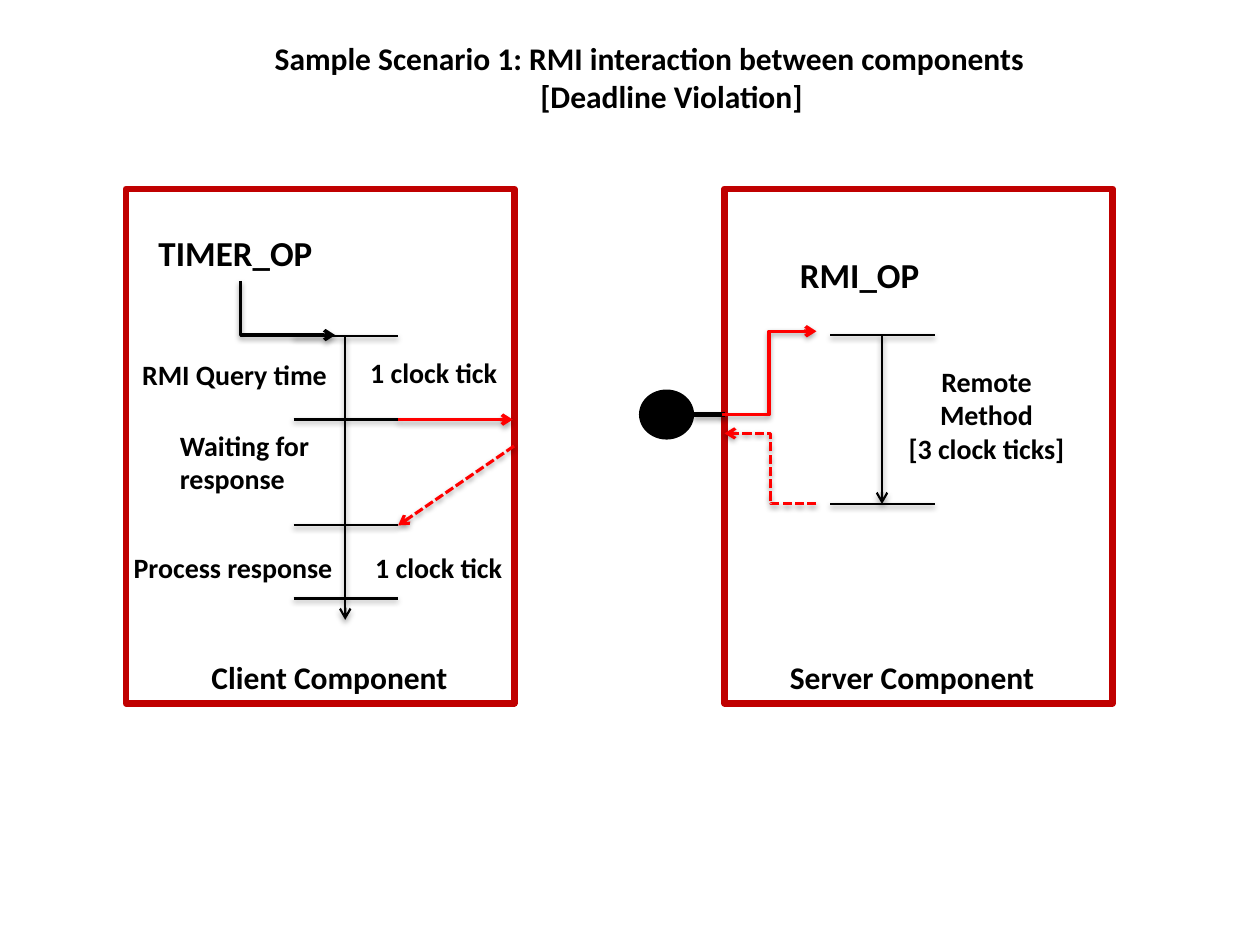
from dataclasses import dataclass

from lxml import etree
from pptx import Presentation
from pptx.dml.color import RGBColor
from pptx.enum.dml import MSO_LINE
from pptx.enum.shapes import MSO_CONNECTOR, MSO_SHAPE
from pptx.enum.text import MSO_ANCHOR, MSO_AUTO_SIZE, PP_ALIGN
from pptx.oxml.ns import qn
from pptx.util import Inches, Pt

LEFT, CENTER = PP_ALIGN.LEFT, PP_ALIGN.CENTER
STRAIGHT, ELBOW = MSO_CONNECTOR.STRAIGHT, MSO_CONNECTOR.ELBOW
DASHED = MSO_LINE.SQUARE_DOT
FONT = "Calibri"
BLACK, WHITE, RED, DARK_RED = "000000", "FFFFFF", "FF0000", "C00000"


@dataclass
class Node:
    kind: int
    box: tuple[float, float, float, float]
    fill: str
    line: str
    width: float


@dataclass
class Label:
    lines: list[str]
    box: tuple[float, float, float, float]
    size: int = 16
    align: int = LEFT


@dataclass
class Line:
    start: tuple[float, float]
    end: tuple[float, float]
    color: str = BLACK
    width: float = 1.25
    arrow: bool = False
    dashed: bool = False
    kind: int = STRAIGHT


def rgb(color: str) -> RGBColor:
    return RGBColor.from_string(color)


def add_text(p, text: str, size: int, align: int) -> None:
    p.alignment = align
    r = p.add_run()
    r.text = text
    r.font.name = FONT
    r.font.size = Pt(size)
    r.font.bold = True
    r.font.color.rgb = rgb(BLACK)


def place(sp, box: tuple[float, float, float, float]) -> None:
    sp.left, sp.top, sp.width, sp.height = (Inches(v) for v in box)


def add_node(s, node: Node) -> None:
    sp = s.shapes.add_shape(node.kind, *(Inches(v) for v in node.box))
    sp.shadow.inherit = False
    sp.fill.solid()
    sp.fill.fore_color.rgb = rgb(node.fill)
    sp.line.color.rgb = rgb(node.line)
    sp.line.width = Pt(node.width)


def add_label(s, label: Label) -> None:
    tf = s.shapes.add_textbox(*(Inches(v) for v in label.box)).text_frame
    tf.word_wrap = True
    tf.auto_size = MSO_AUTO_SIZE.SHAPE_TO_FIT_TEXT
    for i, text in enumerate(label.lines):
        p = tf.add_paragraph() if i else tf.paragraphs[0]
        add_text(p, text, label.size, label.align)


def add_shadow(sp, dist: int, alpha: int) -> None:
    effects = etree.SubElement(sp._element.spPr, qn("a:effectLst"))
    shadow = etree.SubElement(effects, qn("a:outerShdw"), blurRad="40000",
                              dist=str(dist), dir="5400000", rotWithShape="0")
    color = etree.SubElement(shadow, qn("a:srgbClr"), val=BLACK)
    etree.SubElement(color, qn("a:alpha"), val=str(alpha * 1000))


def add_line(s, line: Line):
    sp = s.shapes.add_connector(line.kind, *(Inches(v) for v in line.start + line.end))
    sp.line.color.rgb = rgb(line.color)
    sp.line.width = Pt(line.width)
    if line.dashed:
        sp.line.dash_style = DASHED
    if line.arrow:
        ln = sp._element.spPr.find(qn("a:ln"))
        etree.SubElement(ln, qn("a:tailEnd"), type="arrow")
    if line.width == 2:
        add_shadow(sp, 23000, 35)
    else:
        add_shadow(sp, 20000, 38)
    return sp


def add_corner_arrow(s, start: tuple[float, float], end: tuple[float, float]) -> None:
    mid_x, mid_y = (start[0] + end[0]) / 2, (start[1] + end[1]) / 2
    half_w, half_h = (end[1] - start[1]) / 2, (end[0] - start[0]) / 2
    sp = add_line(s, Line((mid_x + half_w, mid_y - half_h), (mid_x - half_w, mid_y + half_h),
                          width=2, arrow=True, kind=ELBOW))
    sp._element.spPr.find(qn("a:xfrm")).set("rot", "16200000")
    sp._element.spPr.find(qn("a:prstGeom")).set("prst", "bentConnector2")


def add_title(s) -> None:
    title = s.shapes.title
    place(title, (2.08, 0.26, 6.5, 0.71))
    tf = title.text_frame
    tf.word_wrap = True
    tf.auto_size = MSO_AUTO_SIZE.NONE
    tf.vertical_anchor = MSO_ANCHOR.TOP
    add_text(tf.paragraphs[0], "Sample Scenario 1: RMI interaction between components", 18, LEFT)
    add_text(tf.add_paragraph(), "[Deadline Violation]", 18, CENTER)


NODES = [
    Node(MSO_SHAPE.RECTANGLE, (1, 1.5, 3.08, 4.08), WHITE, DARK_RED, 4),
    Node(MSO_SHAPE.RECTANGLE, (5.75, 1.5, 3.08, 4.08), WHITE, DARK_RED, 4),
    Node(MSO_SHAPE.FLOWCHART_CONNECTOR, (5.08, 3.1, 0.42, 0.38), BLACK, BLACK, 1.25),
]

CLIENT_TICKS = [Line((2.33, y), (3.16, y)) for y in (2.67, 3.33, 4.17, 4.75)]
SERVER_TICKS = [Line((6.59, y), (7.42, y)) for y in (2.66, 4)]
LINES = [
    Line((5.5, 3.29), (5.75, 3.29), width=2.75),
    *CLIENT_TICKS,
    Line((2.74, 2.66), (2.74, 4.92), arrow=True),
    *SERVER_TICKS,
    Line((7, 2.66), (7, 4), arrow=True),
    Line((3.16, 3.33), (4.07, 3.33), RED, 2, True),
    Line((5.73, 3.29), (6.48, 2.63), RED, 2, True, kind=ELBOW),
    Line((6.48, 4), (5.75, 3.44), RED, 1.75, True, True, ELBOW),
    Line((4.08, 3.54), (3.16, 4.17), RED, 1.75, True, True),
]

LABELS = [
    Label(["TIMER_OP"], (1.16, 1.79, 1.5, 0.44), 20),
    Label(["RMI Query time"], (1.03, 2.79, 1.77, 0.37)),
    Label(["Waiting for response"], (1.33, 3.35, 1.5, 0.64)),
    Label(["Process response"], (0.95, 4.32, 1.8, 0.37), align=CENTER),
    Label(["RMI_OP"], (6.25, 1.96, 1.5, 0.44), 20),
    Label(["Client Component"], (1.58, 5.17, 2.08, 0.4), 18),
    Label(["Server Component"], (6.17, 5.17, 2.25, 0.4), 18),
    Label(["Remote Method", "[3 clock ticks]"], (7.06, 2.84, 1.54, 0.91), align=CENTER),
    Label(["1 clock tick"], (2.84, 2.77, 1.77, 0.37)),
    Label(["1 clock tick"], (2.88, 4.32, 1.77, 0.37)),
]


def main() -> None:
    prs = Presentation()
    prs.slide_width, prs.slide_height = Inches(10), Inches(7.5)
    s = prs.slides.add_slide(prs.slide_layouts[5])
    add_title(s)
    for node in NODES:
        add_node(s, node)
    add_corner_arrow(s, (1.91, 2.23), (2.66, 2.66))
    for line in LINES:
        add_line(s, line)
    for label in LABELS:
        add_label(s, label)
    prs.save("out.pptx")


if __name__ == "__main__":
    main()
